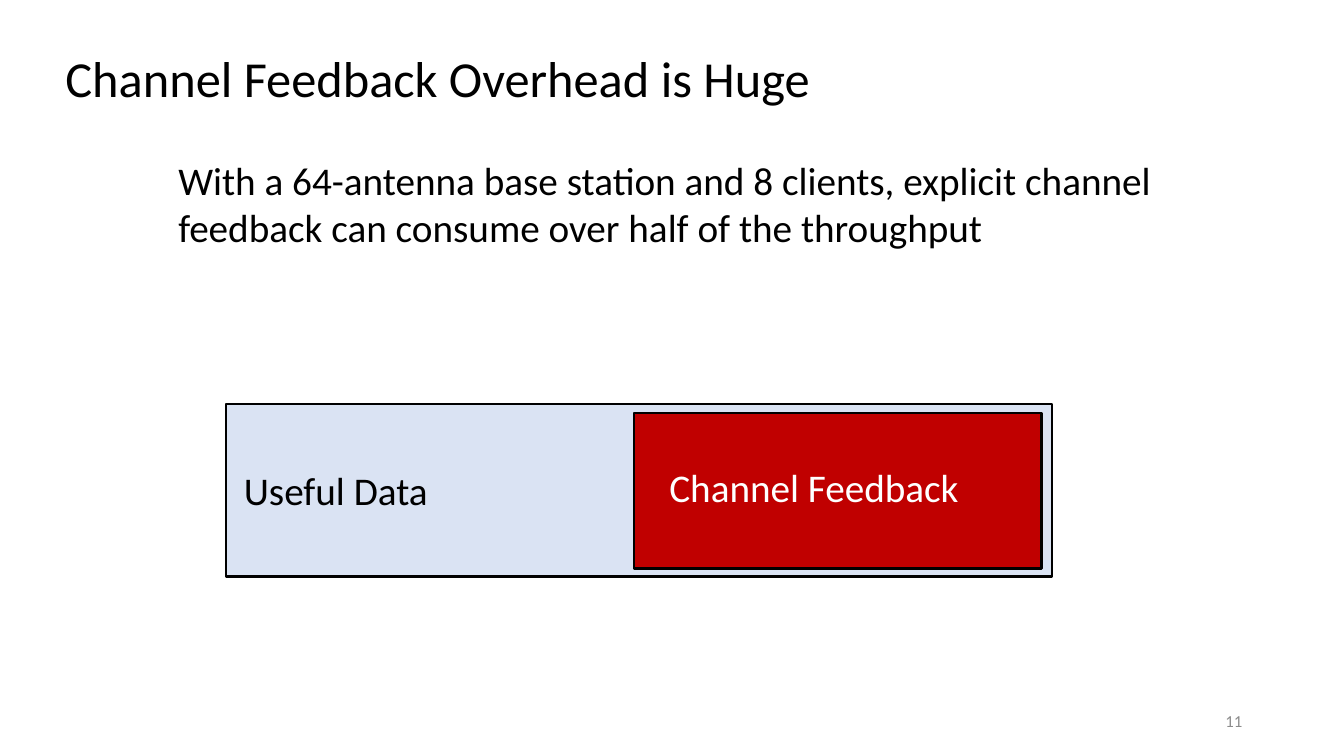
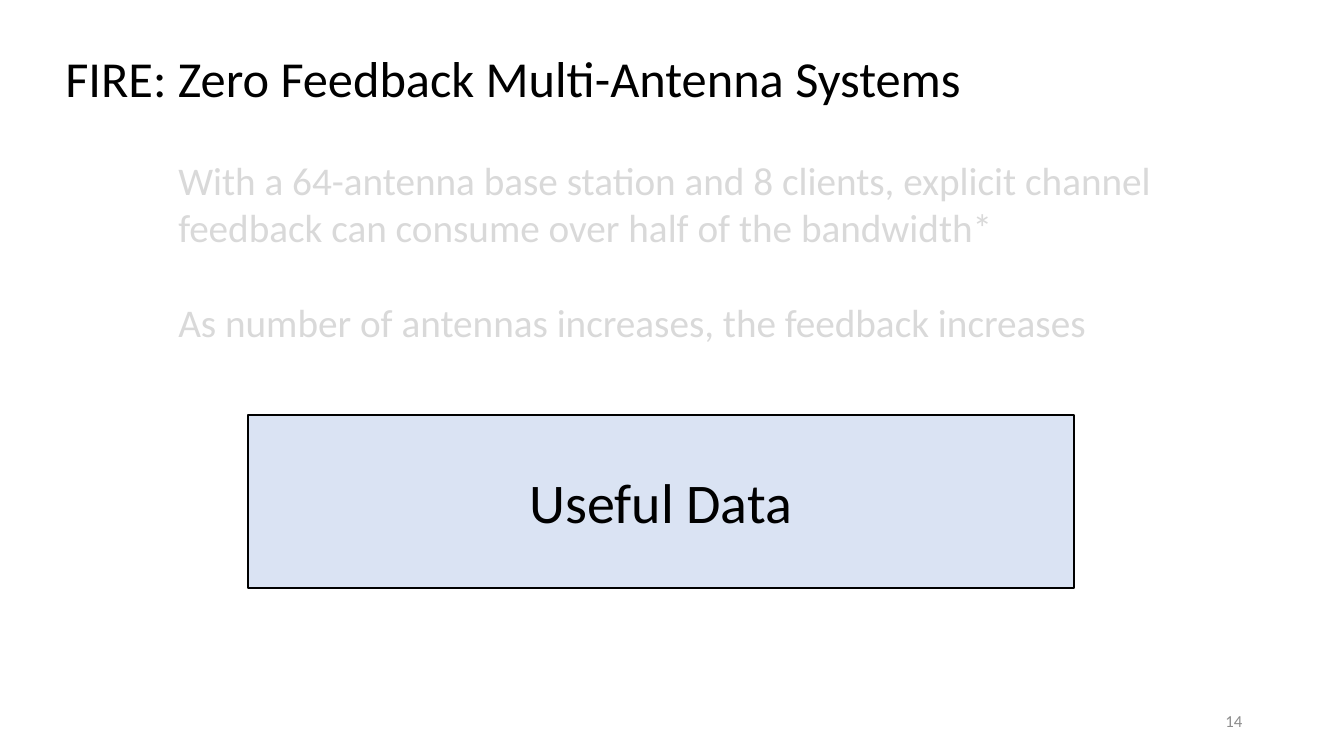
import dataclasses

import pptx
import pptx.dml.color
import pptx.enum.shapes
import pptx.enum.text
import pptx.util

Inches = pptx.util.Inches
ALIGN = pptx.enum.text.PP_ALIGN
ANCHOR = pptx.enum.text.MSO_ANCHOR


@dataclasses.dataclass(frozen=True)
class Theme:
    font: str = "Calibri"
    ink: str = "000000"
    white: str = "FFFFFF"
    faded: str = "D9D9D9"
    number_gray: str = "8C8C8C"
    data_blue: str = "DAE3F3"
    feedback_red: str = "C00000"
    title_size: int = 36
    body_size: int = 28
    emphasis_size: int = 40
    number_size: int = 12
    outline: float = 1.5


def color(value):
    return pptx.dml.color.RGBColor.from_string(value)


class SlideBuilder:
    """Holds the theme, the deck and the page being filled."""

    def __init__(self, theme):
        self.theme = theme
        self.deck = pptx.Presentation()
        self.deck.slide_width = Inches(13.33)
        self.deck.slide_height = Inches(7.5)
        self.page = None

    def new_page(self, title, title_width, number):
        theme = self.theme
        self.page = self.deck.slides.add_slide(self.deck.slide_layouts[6])
        self.text(title, 0.55, 0.42, title_width, 0.71,
                  size=theme.title_size, wrap=False)
        self.text(number, 9.42, 6.95, 3, 0.4, size=theme.number_size,
                  ink=theme.number_gray, align=ALIGN.RIGHT, anchor=ANCHOR.MIDDLE)

    def add_words(self, shape, words, size, ink, align, anchor):
        frame = shape.text_frame
        frame.vertical_anchor = anchor
        para = frame.paragraphs[0]
        para.alignment = align
        span = para.add_run()
        span.text = words
        span.font.name = self.theme.font
        span.font.size = pptx.util.Pt(size)
        span.font.color.rgb = color(ink)

    def text(self, words, left, top, width, height, size=None, ink=None,
             align=ALIGN.LEFT, anchor=ANCHOR.TOP, wrap=True):
        box = self.page.shapes.add_textbox(
            Inches(left), Inches(top), Inches(width), Inches(height))
        box.text_frame.word_wrap = wrap
        self.add_words(box, words, size or self.theme.body_size,
                       ink or self.theme.ink, align, anchor)

    def statement(self, words, top, height, ink=None):
        self.text(words, 1.67, top, 10.15, height, ink=ink)

    def bar(self, left, top, width, height, fill, label=None):
        shape = self.page.shapes.add_shape(
            pptx.enum.shapes.MSO_SHAPE.RECTANGLE,
            Inches(left), Inches(top), Inches(width), Inches(height))
        shape.shadow.inherit = False
        shape.fill.solid()
        shape.fill.fore_color.rgb = color(fill)
        shape.line.color.rgb = color(self.theme.ink)
        shape.line.width = pptx.util.Pt(self.theme.outline)
        if label:
            self.add_words(shape, label, self.theme.emphasis_size,
                           self.theme.ink, ALIGN.CENTER, ANCHOR.MIDDLE)

    def throughput_bar(self, left, top, label=None):
        self.bar(left, top, 8.19, 1.71, self.theme.data_blue, label)


def overhead_page(builder):
    theme = builder.theme
    builder.new_page("Channel Feedback Overhead is Huge", 7.65, "11")
    builder.statement("With a 64-antenna base station and 8 clients, explicit channel "
                      "feedback can consume over half of the throughput", 1.5, 1.04)

    # Throughput split between data and feedback
    builder.throughput_bar(2.24, 4.01)
    builder.bar(6.29, 4.1, 4.04, 1.54, theme.feedback_red)
    builder.text("Channel Feedback", 6.54, 4.55, 3.78, 0.57, ink=theme.white)
    builder.text("Useful Data", 2.24, 4.58, 2.18, 0.57, align=ALIGN.CENTER)


def zero_feedback_page(builder):
    faded = builder.theme.faded
    builder.new_page("FIRE: Zero Feedback Multi-Antenna Systems", 9.17, "14")
    builder.statement("With a 64-antenna base station and 8 clients, explicit channel "
                      "feedback can consume over half of the bandwidth*",
                      1.5, 1.04, faded)
    builder.statement("As number of antennas increases, the feedback increases",
                      2.91, 0.57, faded)

    # All throughput carries data
    builder.throughput_bar(2.46, 4.12, "Useful Data")


def main():
    builder = SlideBuilder(Theme())
    overhead_page(builder)
    zero_feedback_page(builder)
    builder.deck.save("out.pptx")


if __name__ == "__main__":
    main()
